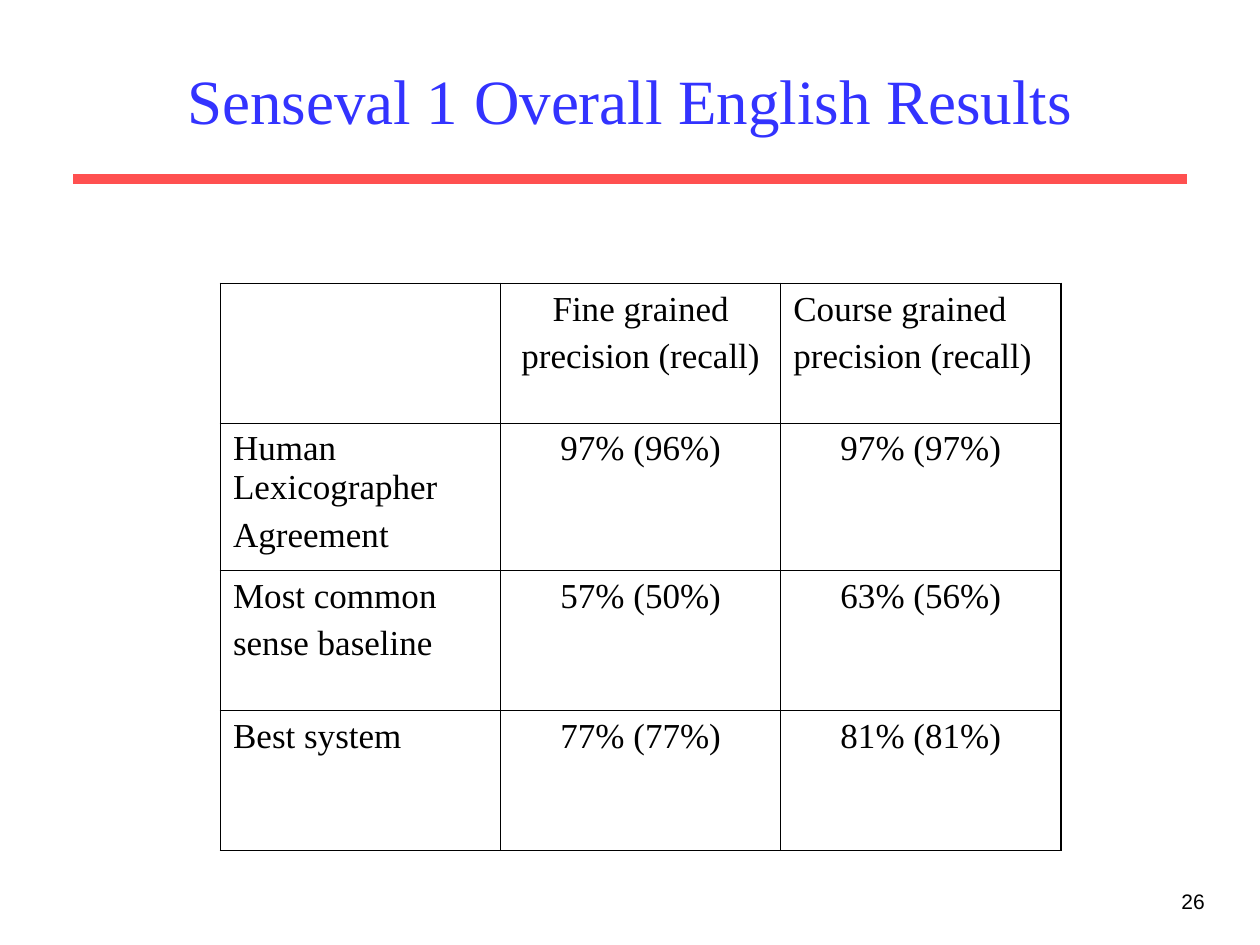
from dataclasses import dataclass

from lxml import etree
from pptx import Presentation
from pptx.dml.color import RGBColor
from pptx.enum.shapes import MSO_CONNECTOR
from pptx.enum.text import MSO_ANCHOR, PP_ALIGN
from pptx.oxml.ns import qn
from pptx.util import Inches, Pt

LEFT, MID, RIGHT = PP_ALIGN.LEFT, PP_ALIGN.CENTER, PP_ALIGN.RIGHT
MIDDLE = MSO_ANCHOR.MIDDLE
STRAIGHT = MSO_CONNECTOR.STRAIGHT
TITLE_ONLY = 5


@dataclass(frozen=True)
class Theme:
    serif: str = "Times New Roman"
    sans: str = "Arial"
    blue: str = "3333FF"
    red: str = "FF5050"
    black: str = "000000"
    title: float = 36
    body: float = 20
    small: float = 12
    gap: float = 5
    rule: float = 6
    outer: float = 1.08
    inner: float = 0.45


THEME = Theme()

HEADS = ["", "Fine grained\nprecision (recall)", "Course grained\nprecision (recall)"]
ROWS = [
    HEADS,
    ["Human Lexicographer\nAgreement", "97% (96%)", "97% (97%)"],
    ["Most common\nsense baseline", "57% (50%)", "63% (56%)"],
    ["Best system", "77% (77%)", "81% (81%)"],
]
HEIGHTS = [1.11, 1.17, 1.11, 1.11]


def style(frame, face, size, color, align):
    """Format every paragraph, with a gap between paragraphs."""
    for i, par in enumerate(frame.paragraphs):
        par.alignment = align
        par.space_before = Pt(THEME.gap if i else 0)
        for run in par.runs:
            run.font.name = face
            run.font.size = Pt(size)
            run.font.bold = False
            run.font.color.rgb = RGBColor.from_string(color)


def add_title(slide, text, box):
    title = slide.shapes.title
    title.left, title.top, title.width, title.height = map(Inches, box)
    frame = title.text_frame
    frame.text = text
    frame.word_wrap = True
    frame.vertical_anchor = MIDDLE
    style(frame, THEME.serif, THEME.title, THEME.blue, MID)


def add_rule(slide, box):
    left, top, width, _ = box
    line = slide.shapes.add_connector(
        STRAIGHT, Inches(left), Inches(top), Inches(left + width), Inches(top))
    line.line.color.rgb = RGBColor.from_string(THEME.red)
    line.line.width = Pt(THEME.rule)
    etree.SubElement(line._element.spPr, qn("a:effectLst"))


def set_edges(cell, edges):
    """Draw the four cell borders; edges maps a side to its width."""
    props = cell._tc.get_or_add_tcPr()
    for side, width in edges.items():
        line = etree.SubElement(props, qn(f"a:ln{side}"), w=str(Pt(width)))
        fill = etree.SubElement(line, qn("a:solidFill"))
        etree.SubElement(fill, qn("a:srgbClr"), val=THEME.black)


def add_grid(slide, rows, heights, box):
    count, span = len(rows), len(rows[0])
    left, top, width, _ = box
    table = slide.shapes.add_table(count, span, *map(Inches, box)).table
    table.first_row = table.horz_banding = False
    for col in table.columns:
        col.width = Inches(width / span)
    for row, height in zip(table.rows, heights):
        row.height = Inches(height)

    for r, row in enumerate(rows):
        for c, text in enumerate(row):
            cell = table.cell(r, c)
            cell.text = text
            # Values and the first heading are centred
            head = c == 0 or (r == 0 and c == span - 1)
            style(cell.text_frame, THEME.serif, THEME.body, THEME.black,
                  LEFT if head else MID)
            # Thick frame outside, thin lines inside
            outer = {"L": c == 0, "R": c == span - 1,
                     "T": r == 0, "B": r == count - 1}
            set_edges(cell, {side: THEME.outer if edge else THEME.inner
                             for side, edge in outer.items()})
            cell.fill.background()


def add_page(slide, text, box):
    frame = slide.shapes.add_textbox(*map(Inches, box)).text_frame
    frame.word_wrap = True
    frame.text = text
    style(frame, THEME.sans, THEME.small, THEME.black, RIGHT)


def main():
    deck = Presentation()
    deck.slide_width, deck.slide_height = Inches(10), Inches(7.5)
    slide = deck.slides.add_slide(deck.slide_layouts[TITLE_ONLY])
    add_rule(slide, (0.58, 1.42, 8.84, 0))
    add_page(slide, "26", (7.58, 7, 2.08, 0.5))
    add_title(slide, "Senseval 1 Overall English Results", (0.75, 0.25, 8.5, 1.08))
    add_grid(slide, ROWS, HEIGHTS, (1.75, 2.25, 6.67, sum(HEIGHTS)))
    deck.save("out.pptx")


if __name__ == "__main__":
    main()
